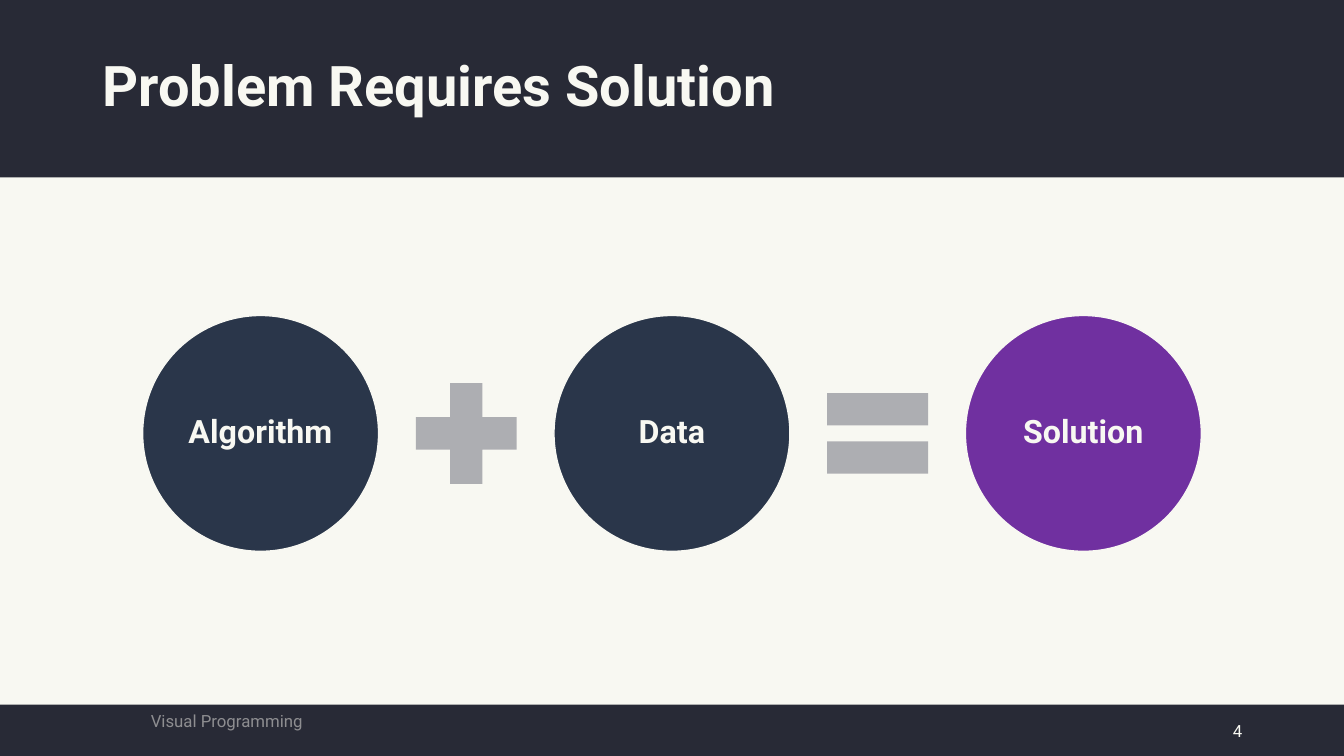
from pptx import Presentation
from pptx.dml.color import RGBColor
from pptx.enum.shapes import MSO_SHAPE as Shape
from pptx.enum.text import MSO_ANCHOR as Anchor, PP_ALIGN as Align
from pptx.util import Inches, Pt

# Content
TITLE = "Problem Requires Solution"
COURSE = "Visual Programming"
PAGE_NUMBER = "4"
EQUATION = [  # shape, label, fill
    (Shape.OVAL, "Algorithm", "term"),
    (Shape.MATH_PLUS, None, "operator"),
    (Shape.OVAL, "Data", "term"),
    (Shape.MATH_EQUAL, None, "operator"),
    (Shape.OVAL, "Solution", "result"),
]

THEME = {
    "font": "Roboto",
    "colors": {
        "paper": "F8F8F2", "band": "282A36", "term": "2A364A",
        "operator": "ADAEB2", "result": "7030A0", "muted": "8E8E91",
    },
    "sizes": {"title": 40, "label": 23, "footer": 12},
}

# Layout, in inches
WIDTH, HEIGHT = 13.33, 7.5
BANDS = [(0, 1.76), (6.99, 0.52)]  # top, height
CIRCLE, OPERATOR = 2.34, 1.36
STEP, MIDDLE = 2.04, 4.3


def color(name):
    return RGBColor.from_string(THEME["colors"][name])


def add_block(page, kind, left, top, width, height, fill, line=None):
    block = page.shapes.add_shape(
        kind, Inches(left), Inches(top), Inches(width), Inches(height))
    block.shadow.inherit = False
    block.fill.solid()
    block.fill.fore_color.rgb = color(fill)
    if line:
        block.line.color.rgb = color(line)
        block.line.width = Pt(1)
    else:
        block.line.fill.background()
    return block


def write(box, text, size, ink="paper", bold=False, align=Align.LEFT, spacing=1.0):
    frame = box.text_frame
    frame.word_wrap = True
    frame.vertical_anchor = Anchor.MIDDLE
    para = frame.paragraphs[0]
    para.alignment = align
    para.line_spacing = spacing
    span = para.add_run()
    span.text = text
    span.font.name = THEME["font"]
    span.font.size = Pt(THEME["sizes"][size])
    span.font.bold = bold
    span.font.color.rgb = color(ink)


def add_text(page, left, top, width, height, text, size, **style):
    box = page.shapes.add_textbox(
        Inches(left), Inches(top), Inches(width), Inches(height))
    write(box, text, size, **style)


def add_equation(page):
    for index, (kind, label, fill) in enumerate(EQUATION):
        side = CIRCLE if label else OPERATOR
        center = WIDTH / 2 + (index - len(EQUATION) // 2) * STEP
        part = add_block(page, kind, center - side / 2, MIDDLE - side / 2,
                         side, side, fill, line="paper" if label else None)
        if label:
            frame = part.text_frame
            frame.margin_left = frame.margin_right = Inches(0.03)
            frame.margin_top = frame.margin_bottom = Inches(0.03)
            write(part, label, "label", bold=True, align=Align.CENTER, spacing=0.9)


def main():
    deck = Presentation()
    deck.slide_width, deck.slide_height = Inches(WIDTH), Inches(HEIGHT)
    page = deck.slides.add_slide(deck.slide_layouts[6])
    page.background.fill.solid()
    page.background.fill.fore_color.rgb = color("paper")

    # Header and footer bands
    for top, height in BANDS:
        add_block(page, Shape.RECTANGLE, 0, top, WIDTH, height, "band")

    # Title and footer text
    add_text(page, 0.92, 0.15, 11.5, 1.45, TITLE, "title", bold=True, spacing=0.9)
    add_text(page, 11.68, 7.05, 0.74, 0.4, PAGE_NUMBER, "footer", align=Align.RIGHT)
    add_text(page, 0, 6.95, 4.5, 0.4, COURSE, "footer", ink="muted", align=Align.CENTER)

    # Algorithm + Data = Solution
    add_equation(page)
    deck.save("out.pptx")


if __name__ == "__main__":
    main()
